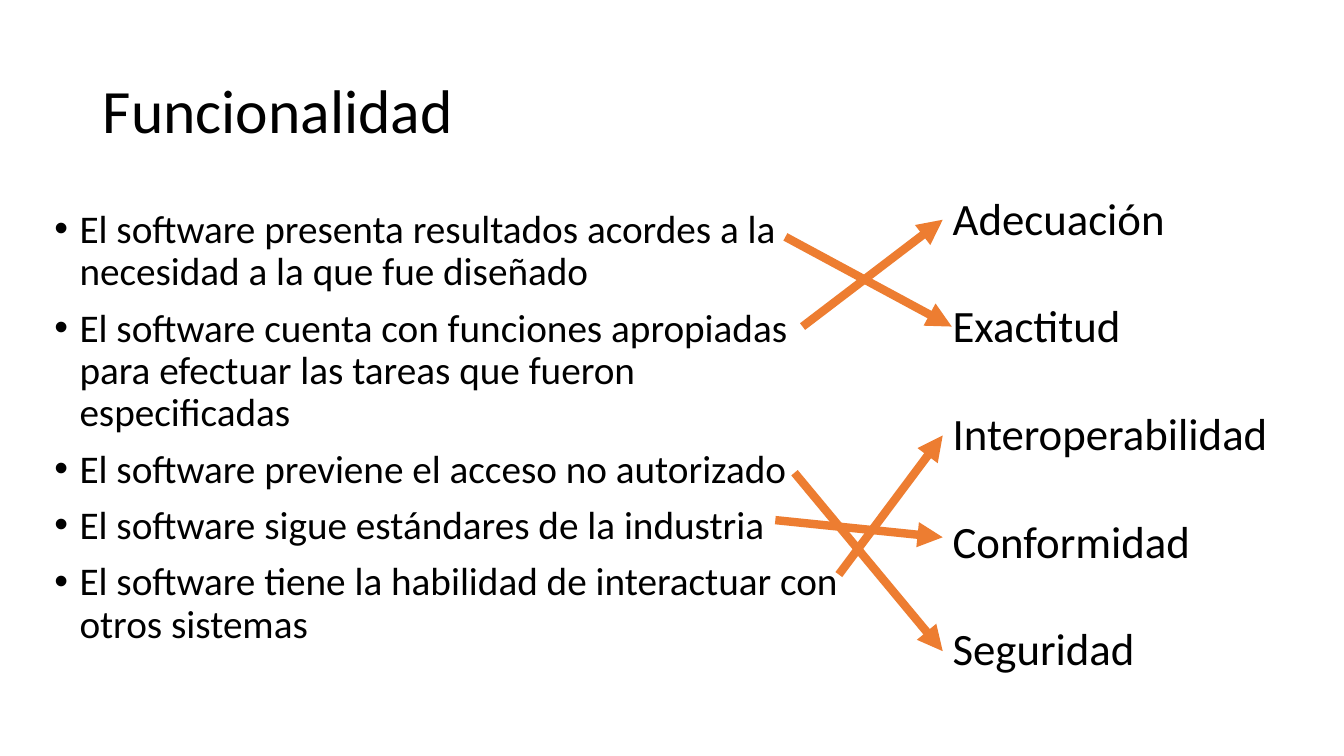
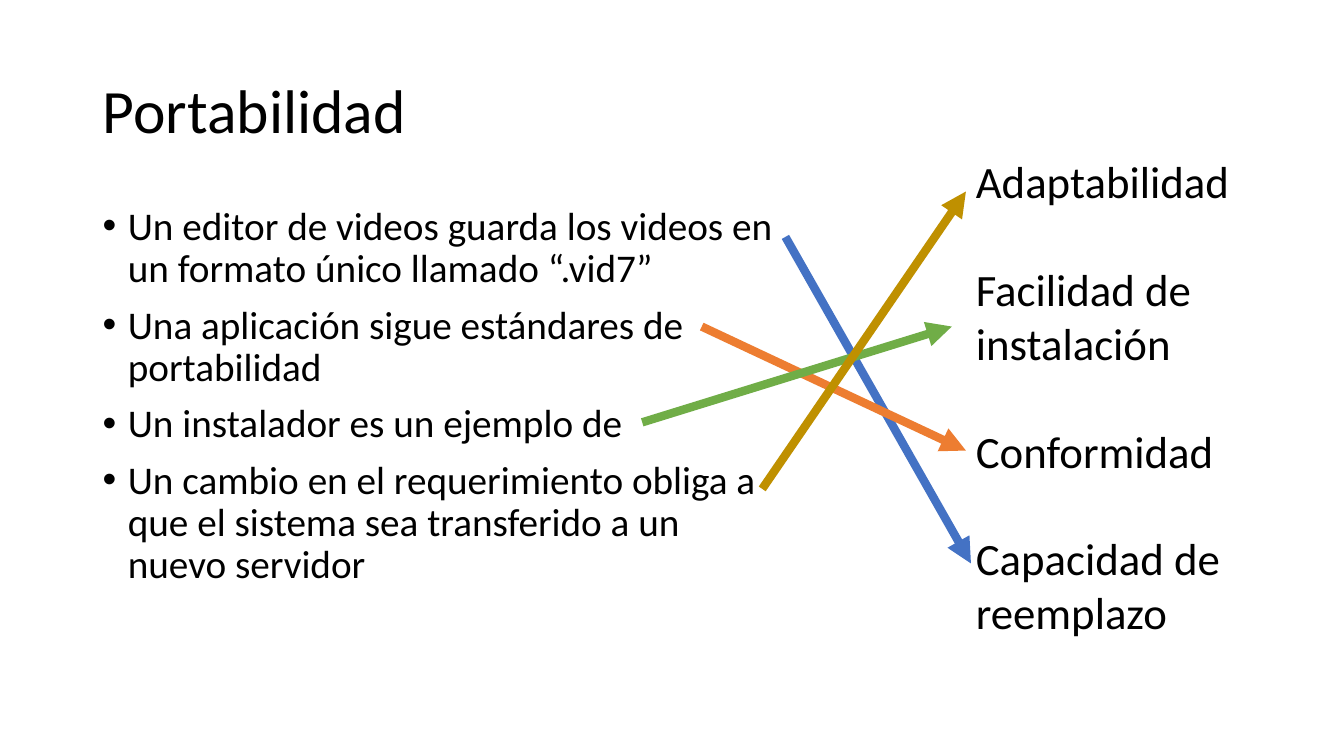
from pptx import Presentation
from pptx.dml.color import RGBColor
from pptx.enum.shapes import MSO_CONNECTOR
from pptx.enum.text import MSO_ANCHOR, PP_ALIGN
from pptx.oxml.ns import qn
from pptx.util import Inches, Pt
from lxml.etree import SubElement

FONT = "Calibri"
BLACK = RGBColor(0x00, 0x00, 0x00)
ORANGE = RGBColor(0xED, 0x7D, 0x31)
BLUE = RGBColor(0x44, 0x72, 0xC4)
GREEN = RGBColor(0x70, 0xAD, 0x47)
GOLD = RGBColor(0xBF, 0x90, 0x00)

TITLE_BOX = (0.92, 0.4, 11.5, 1.45)
TERM_GAP = 38.5  # points, one line of the terms


def style(p, size):
    for r in p.runs:
        r.font.name = FONT
        r.font.size = Pt(size)
        r.font.color.rgb = BLACK


def add_title(s, text):
    title = s.shapes.title
    title.left, title.top, title.width, title.height = map(Inches, TITLE_BOX)
    tf = title.text_frame
    tf.text = text
    tf.vertical_anchor = MSO_ANCHOR.MIDDLE
    p = tf.paragraphs[0]
    p.alignment = PP_ALIGN.LEFT
    p.line_spacing = 0.9
    style(p, 44)


def add_paragraphs(s, box, texts, size, gap):
    """Add a text box with one paragraph per text, separated by gap points."""
    tf = s.shapes.add_textbox(*map(Inches, box)).text_frame
    tf.word_wrap = True
    tf.text = "\n".join(texts)
    for i, p in enumerate(tf.paragraphs):
        if i:
            p.space_before = Pt(gap)
        style(p, size)
    return tf.paragraphs


def add_statements(s, box, texts):
    for p in add_paragraphs(s, box, texts, 28, 10):
        pPr = p._p.get_or_add_pPr()
        pPr.set("marL", str(Inches(0.25)))
        pPr.set("indent", str(-Inches(0.25)))
        SubElement(pPr, qn("a:buFont")).set("typeface", "Arial")
        SubElement(pPr, qn("a:buChar")).set("char", "•")
        p.line_spacing = 0.9


def add_arrow(s, start, end, color):
    arrow = s.shapes.add_connector(
        MSO_CONNECTOR.STRAIGHT, *map(Inches, start + end))
    arrow.line.color.rgb = color
    arrow.line.width = Pt(6)
    spPr = arrow._element.spPr
    SubElement(spPr.find(qn("a:ln")), qn("a:tailEnd")).set("type", "triangle")
    SubElement(spPr, qn("a:effectLst"))


def add_matching_slide(prs, title, statements_box, statements,
                       terms_box, terms, arrows):
    s = prs.slides.add_slide(prs.slide_layouts.get_by_name("Title Only"))
    add_title(s, title)
    add_statements(s, statements_box, statements)
    add_paragraphs(s, terms_box, terms, 32, TERM_GAP)
    for start, end, color in arrows:
        add_arrow(s, start, end, color)


def main():
    prs = Presentation()
    prs.slide_width, prs.slide_height = Inches(13.33), Inches(7.5)

    # Functionality
    add_matching_slide(
        prs, "Funcionalidad",
        (0.44, 2.03, 8.09, 4.76),
        ["El software presenta resultados acordes a la necesidad a la que "
         "fue diseñado",
         "El software cuenta con funciones apropiadas para efectuar las "
         "tareas que fueron especificadas",
         "El software previene el acceso no autorizado",
         "El software sigue estándares de la industria",
         "El software tiene la habilidad de interactuar con otros sistemas"],
        (9.35, 1.84, 3.8, 4.95),
        ["Adecuación", "Exactitud", "Interoperabilidad", "Conformidad",
         "Seguridad"],
        [((7.96, 3.24), (9.35, 2.18), ORANGE),
         ((7.79, 2.35), (9.44, 3.24), ORANGE),
         ((7.88, 4.69), (9.35, 6.46), ORANGE),
         ((7.69, 5.16), (9.35, 5.33), ORANGE),
         ((8.32, 5.7), (9.35, 4.32), ORANGE)])

    # Portability
    add_matching_slide(
        prs, "Portabilidad",
        (0.92, 2, 6.97, 4.76),
        ["Un editor de videos guarda los videos en un formato único llamado "
         "“.vid7”",
         "Una aplicación sigue estándares de portabilidad",
         "Un instalador es un ejemplo de",
         "Un cambio en el requerimiento obliga a que el sistema sea "
         "transferido a un nuevo servidor"],
        (9.58, 1.48, 3.68, 4.95),
        ["Adaptabilidad", "Facilidad de instalación", "Conformidad",
         "Capacidad de reemplazo"],
        [((7.79, 2.35), (9.63, 5.59), BLUE),
         ((6.96, 3.24), (9.58, 4.47), ORANGE),
         ((6.37, 4.19), (9.44, 3.24), GREEN),
         ((7.56, 4.85), (9.58, 1.9), GOLD)])

    prs.save("out.pptx")


if __name__ == "__main__":
    main()
